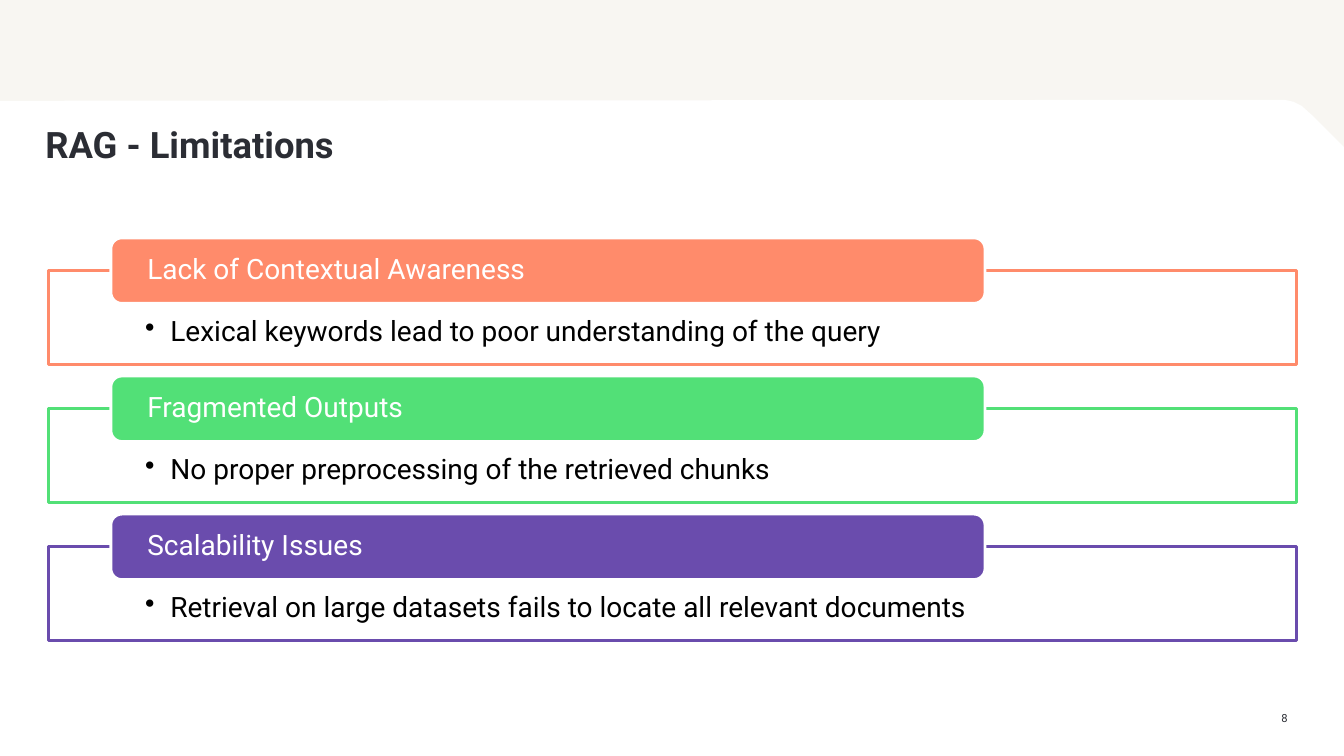
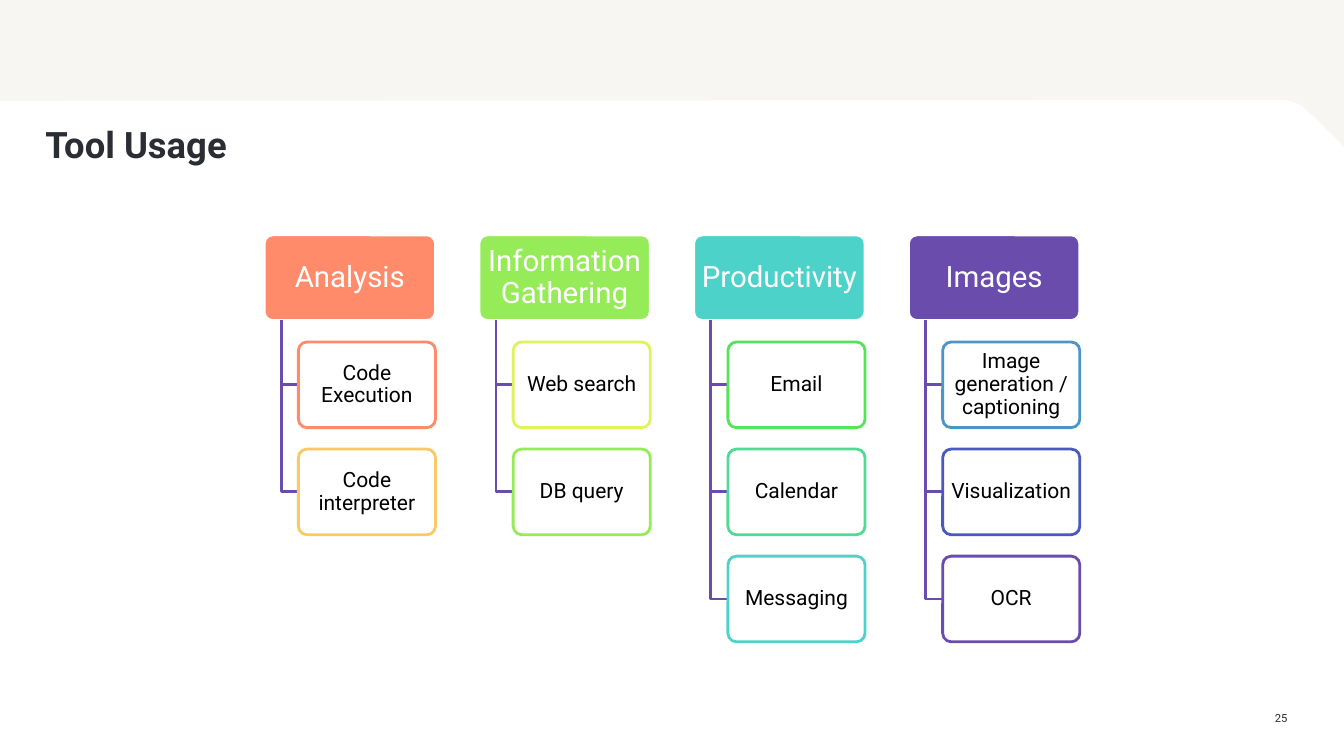
import pptx
import pptx.dml.color
import pptx.enum.shapes
import pptx.enum.text
import pptx.oxml.ns
import pptx.util
import lxml.etree

RGB = pptx.dml.color.RGBColor
SHAPE = pptx.enum.shapes.MSO_SHAPE
ALIGN = pptx.enum.text.PP_ALIGN
ANCHOR = pptx.enum.text.MSO_ANCHOR
inch = pptx.util.Inches

# Colours
SAND = RGB(0xF8, 0xF6, 0xF2)
WHITE = RGB(0xFF, 0xFF, 0xFF)
BLACK = RGB(0x00, 0x00, 0x00)
INK = RGB(0x2B, 0x2D, 0x34)
CORAL = RGB(0xFF, 0x8B, 0x6B)
AMBER = RGB(0xFA, 0xC8, 0x64)
LEMON = RGB(0xE0, 0xF3, 0x5E)
LIME = RGB(0x96, 0xEC, 0x58)
GREEN = RGB(0x54, 0xE4, 0x59)
MINT = RGB(0x52, 0xE0, 0x77)
JADE = RGB(0x50, 0xDB, 0x94)
TEAL = RGB(0x4D, 0xD2, 0xCA)
BLUE = RGB(0x4B, 0x95, 0xC7)
NAVY = RGB(0x4A, 0x5A, 0xBC)
PURPLE = RGB(0x6A, 0x4C, 0xAD)

FONT = "Roboto"
WIDE, HIGH = 13.33, 7.5
LINE = 2

# White sheet with a cut, softened corner at top right
SHEET = [(0, 1), (12.74, 0.99), (12.83, 1.01), (12.91, 1.05), (13.01, 1.14),
         (WIDE, 1.46), (WIDE, HIGH), (0, HIGH)]

# Stacked panels
EDGE, TOP, STEP = 0.48, 2.36, 1.37
PANEL_W, PANEL_H = 12.38, 0.93
TAB_X, TAB_W, TAB_H = 1.1, 8.67, 0.65
PANELS = [
    (CORAL, "Lack of Contextual Awareness",
     "Lexical keywords lead to poor understanding of the query"),
    (MINT, "Fragmented Outputs",
     "No proper preprocessing of the retrieved chunks"),
    (PURPLE, "Scalability Issues",
     "Retrieval on large datasets fails to locate all relevant documents"),
]

# Columns of tools
HEAD_W, BOX_H, COL, HEAD_Y = 1.7, 0.85, 2.13, 2.33
ROW = BOX_H * 1.25
STEM = HEAD_W * 0.1
TOOLS = [
    (CORAL, "Analysis",
     [(CORAL, "Code Execution"), (AMBER, "Code interpreter")]),
    (LIME, "Information Gathering",
     [(LEMON, "Web search"), (LIME, "DB query")]),
    (TEAL, "Productivity",
     [(GREEN, "Email"), (JADE, "Calendar"), (TEAL, "Messaging")]),
    (PURPLE, "Images",
     [(BLUE, "Image generation / captioning"), (NAVY, "Visualization"),
      (PURPLE, "OCR")]),
]


def write(shape, text, size, color, bold=False, align=ALIGN.LEFT,
          anchor=ANCHOR.MIDDLE, pad=(0, 0, 0, 0), lead=None, bullet=False):
    """Fill a shape with one paragraph; pad is left, top, right, bottom."""
    frame = shape.text_frame
    frame.word_wrap = True
    frame.vertical_anchor = anchor
    (frame.margin_left, frame.margin_top,
     frame.margin_right, frame.margin_bottom) = map(inch, pad)
    para = frame.paragraphs[0]
    para.alignment = align
    if lead:
        para.line_spacing = lead
    if bullet:
        props = para._p.get_or_add_pPr()
        props.set("marL", str(inch(0.25)))
        props.set("indent", str(inch(-0.25)))
        mark = lxml.etree.SubElement(props, pptx.oxml.ns.qn("a:buChar"))
        mark.set("char", "•")
    run = para.add_run()
    run.text = text
    font = run.font
    font.name, font.size, font.bold = FONT, pptx.util.Pt(size), bold
    font.color.rgb = color


def label(slide, x, y, w, h, text, **style):
    box = slide.shapes.add_textbox(inch(x), inch(y), inch(w), inch(h))
    write(box, text, color=INK, anchor=ANCHOR.TOP, **style)


def paint(shape, fill=None, line=None):
    shape.shadow.inherit = False
    if fill is None:
        shape.fill.background()
    else:
        shape.fill.solid()
        shape.fill.fore_color.rgb = fill
    if line is None:
        shape.line.fill.background()
    else:
        shape.line.color.rgb = line
        shape.line.width = pptx.util.Pt(LINE)


def block(slide, x, y, w, h, fill, line, kind=SHAPE.ROUNDED_RECTANGLE,
          curve=None):
    shape = slide.shapes.add_shape(kind, inch(x), inch(y), inch(w), inch(h))
    if curve:
        shape.adjustments[0] = curve
    paint(shape, fill, line)
    return shape


def trace(slide, points, close, fill=None, line=None):
    spots = [(inch(x), inch(y)) for x, y in points]
    pen = slide.shapes.build_freeform(*spots[0])
    pen.add_line_segments(spots[1:], close=close)
    paint(pen.convert_to_shape(), fill, line)


def page(deck, title, number):
    """Add a slide with the shared sheet, title and page number."""
    slide = deck.slides.add_slide(deck.slide_layouts[6])
    trace(slide, SHEET, True, fill=WHITE)
    label(slide, 12.49, 7.06, 0.28, 0.13, number, size=8, align=ALIGN.RIGHT)
    label(slide, 0.45, 1.21, 12.37, 0.34, title, size=26, bold=True)
    return slide


def panel(slide, y, color, head, note):
    """Outlined panel with a coloured tab set across its top edge."""
    body = block(slide, EDGE, y + TAB_H / 2, PANEL_W, PANEL_H, WHITE, color,
                 kind=SHAPE.RECTANGLE)
    write(body, note, 20, BLACK, anchor=ANCHOR.TOP, lead=0.9, bullet=True,
          pad=(0.96, 0.46, 0.96, 0.16))
    tab = block(slide, TAB_X, y, TAB_W, TAB_H, color, WHITE)
    write(tab, head, 20, WHITE, lead=0.9, pad=(0.33, 0, 0.33, 0))


def column(slide, x, color, head, items):
    """Coloured heading with its items hung from a stem."""
    top = block(slide, x, HEAD_Y, HEAD_W, BOX_H, color, WHITE, curve=0.1)
    write(top, head, 21, WHITE, align=ALIGN.CENTER, lead=0.9,
          pad=(0.04, 0.03, 0.04, 0.03))
    stem, left = x + STEM, x + 2 * STEM
    for row, (tint, text) in enumerate(items, 1):
        y = HEAD_Y + row * ROW
        mid = y + BOX_H / 2
        trace(slide, [(stem, HEAD_Y + BOX_H), (stem, mid), (left, mid)],
              False, line=PURPLE)
        box = block(slide, left, y, HEAD_W * 0.8, BOX_H, WHITE, tint,
                    curve=0.1)
        write(box, text, 15, BLACK, align=ALIGN.CENTER, lead=0.9,
              pad=(0.03, 0.02, 0.03, 0.02))


def main():
    deck = pptx.Presentation()
    deck.slide_width, deck.slide_height = inch(WIDE), inch(HIGH)
    ground = deck.slide_master.background.fill
    ground.solid()
    ground.fore_color.rgb = SAND

    # Limitations
    slide = page(deck, "RAG - Limitations", "8")
    for row, item in enumerate(PANELS):
        panel(slide, TOP + row * STEP, *item)

    # Tools, centred across the slide
    slide = page(deck, "Tool Usage", "25")
    start = (WIDE - (len(TOOLS) - 1) * COL - HEAD_W) / 2
    for col, item in enumerate(TOOLS):
        column(slide, start + col * COL, *item)

    deck.save("out.pptx")


if __name__ == "__main__":
    main()
